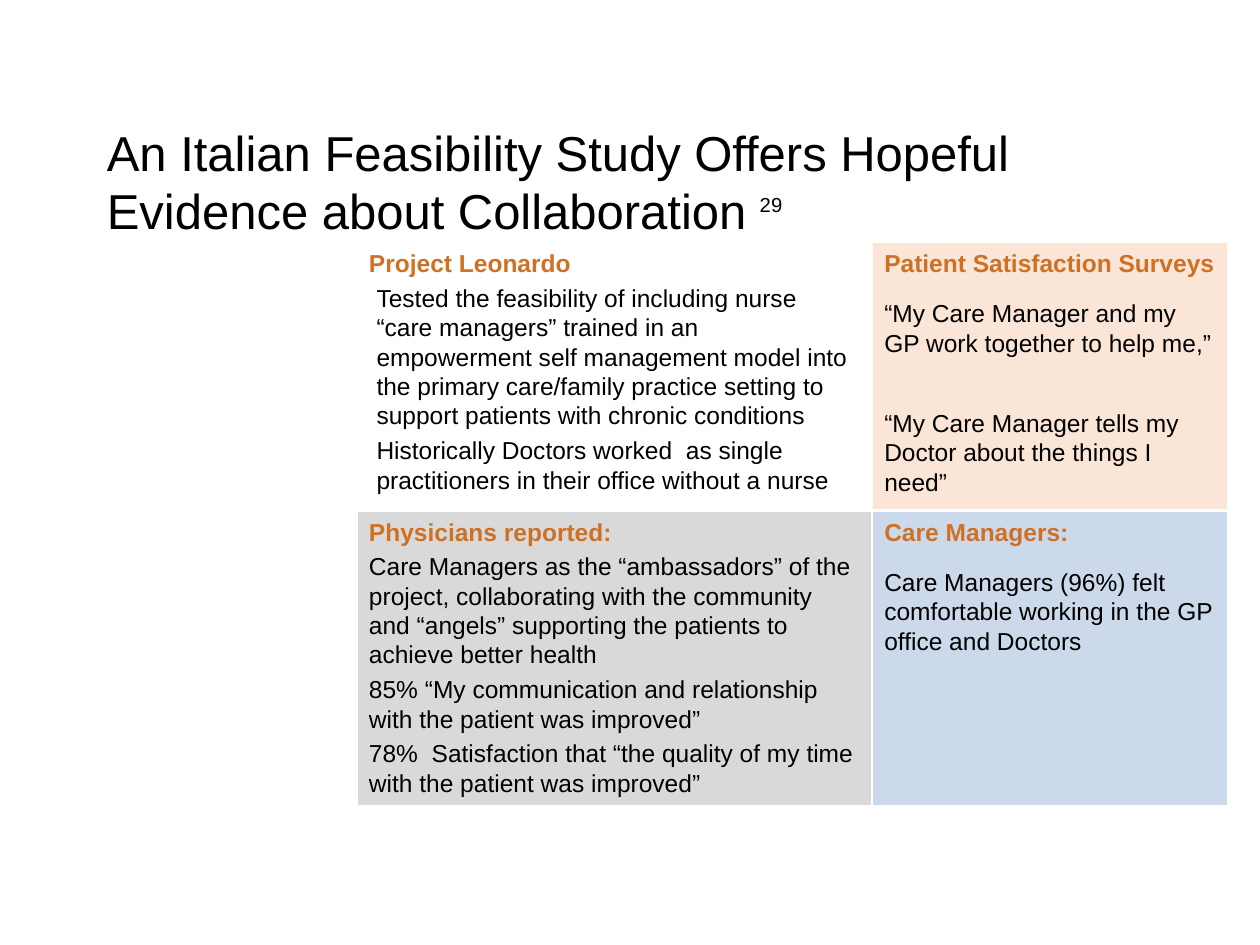
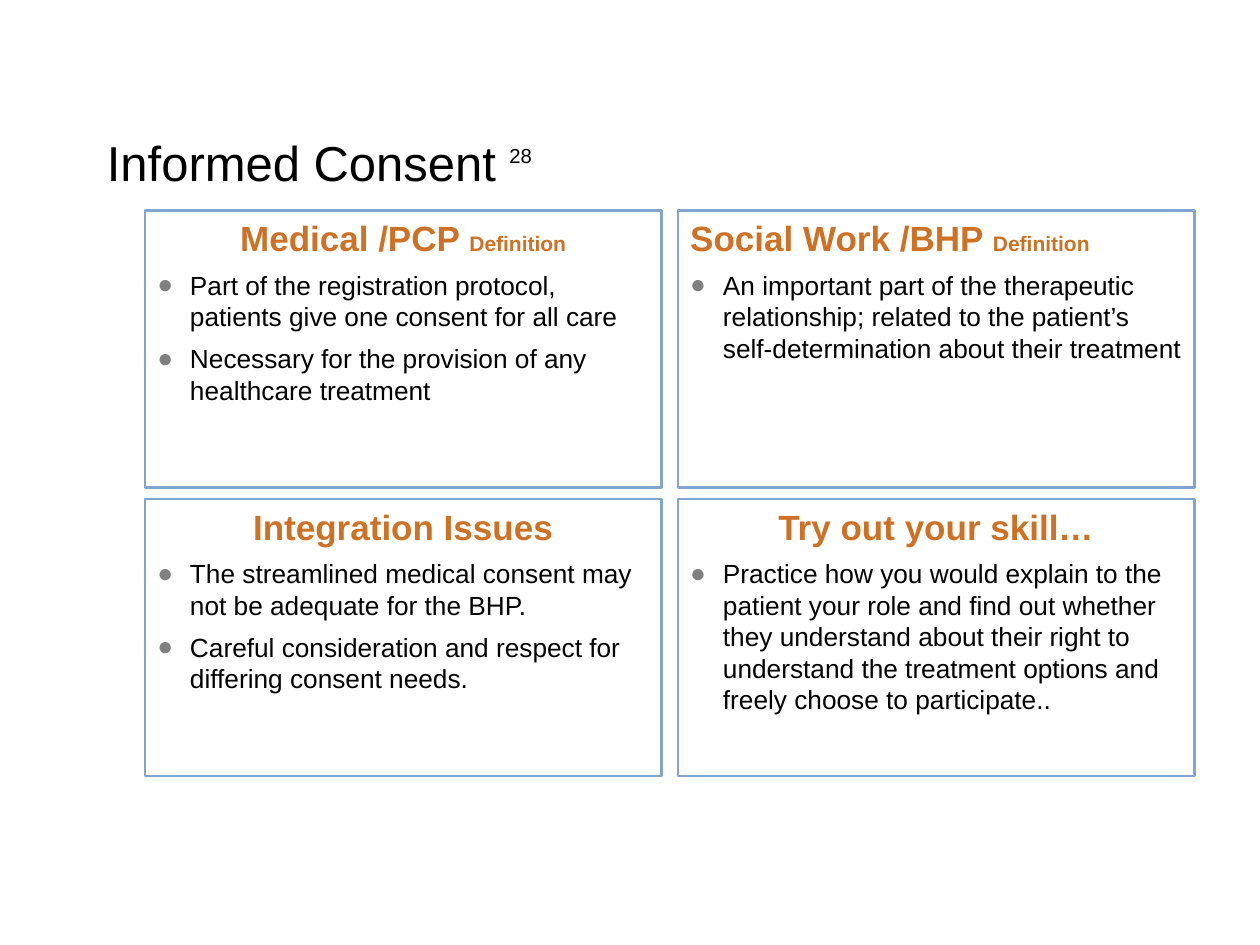
from dataclasses import dataclass

from lxml import etree
from pptx import Presentation
from pptx.dml.color import RGBColor
from pptx.enum.shapes import MSO_SHAPE
from pptx.enum.text import MSO_ANCHOR, PP_ALIGN
from pptx.oxml.ns import qn
from pptx.util import Inches, Pt

RECTANGLE = MSO_SHAPE.RECTANGLE
TOP = MSO_ANCHOR.TOP
LEFT, CENTER = PP_ALIGN.LEFT, PP_ALIGN.CENTER


@dataclass(frozen=True)
class Theme:
    font: str = "Arial"
    ink: str = "000000"
    accent: str = "CE7124"
    white: str = "FFFFFF"
    peach: str = "FAE5D6"
    grey: str = "D9D9D9"
    blue: str = "CBD9EB"
    outline: str = "82A5D0"
    bullet: str = "808080"
    title: int = 28
    note: int = 20
    panel: int = 14
    card_title: int = 20
    card_tag: int = 12
    card: int = 15
    leading: float = 1.2


THEME = Theme()


def set_all(target, values):
    for name, value in values.items():
        setattr(target, name, value)


def add_span(para, text, size, color=THEME.ink, bold=False):
    span = para.add_run()
    span.text = text
    set_all(span.font, {"name": THEME.font, "size": Pt(size), "bold": bold})
    span.font.color.rgb = RGBColor.from_string(color)
    return span


def add_para(frame, size, before=0, align=LEFT):
    first = frame.paragraphs[0]
    para = frame.add_paragraph() if first.runs else first
    set_all(para, {
        "alignment": align,
        "space_before": Pt(before),
        "line_spacing": Pt(size * THEME.leading),
    })
    return para


def indent(para, margin, first_line=0):
    properties = para._p.get_or_add_pPr()
    properties.set("marL", str(Inches(margin)))
    properties.set("indent", str(Inches(first_line)))
    return properties


def add_bullet(para):
    properties = indent(para, 0.26, -0.26)
    color = etree.SubElement(properties, qn("a:buClr"))
    etree.SubElement(color, qn("a:srgbClr"), val=THEME.bullet)
    etree.SubElement(properties, qn("a:buFont"), typeface=THEME.font)
    etree.SubElement(properties, qn("a:buChar"), char="●")


def set_frame(shape):
    set_all(shape.text_frame, {
        "word_wrap": True,
        "vertical_anchor": TOP,
        "margin_left": Inches(0.1),
        "margin_right": Inches(0.1),
        "margin_top": Inches(0.05),
        "margin_bottom": Inches(0.05),
    })
    return shape.text_frame


def add_title(page, top, text, note):
    box = page.shapes.add_textbox(Inches(0.75), Inches(top), Inches(8.75), Inches(0.92))
    para = add_para(set_frame(box), THEME.title)
    add_span(para, text, THEME.title)
    span = add_span(para, note, THEME.note)
    span._r.get_or_add_rPr().set("baseline", "50000")


def add_box(page, box, line, fill=None):
    shape = page.shapes.add_shape(RECTANGLE, *map(Inches, box))
    shape.shadow.inherit = False
    if fill:
        shape.fill.solid()
        shape.fill.fore_color.rgb = RGBColor.from_string(fill)
    else:
        shape.fill.background()
    shape.line.color.rgb = RGBColor.from_string(line)
    shape.line.width = Pt(1.5)
    return set_frame(shape)


def add_panel(page, box, fill, heading, before, texts, margin=0):
    frame = add_box(page, box, THEME.white, fill)
    add_span(add_para(frame, THEME.panel), heading, THEME.panel, THEME.accent, True)
    for text, extra_lines in texts:
        gap = before + extra_lines * THEME.panel * THEME.leading
        para = add_para(frame, THEME.panel, gap)
        indent(para, margin)
        add_span(para, text, THEME.panel)


def add_card(page, box, heading, tag, align, bullets):
    frame = add_box(page, box, THEME.outline)
    para = add_para(frame, THEME.card_title, align=align)
    add_span(para, heading, THEME.card_title, THEME.accent, True)
    if tag:
        add_span(para, tag, THEME.card_tag, THEME.accent, True)
    for text in bullets:
        para = add_para(frame, THEME.card, 6)
        add_bullet(para)
        add_span(para, text, THEME.card)


def grid(left, top, widths, heights, gap_x=0, gap_y=0):
    boxes = []
    y = top
    for height in heights:
        x = left
        for width in widths:
            boxes.append((x, y, width, height))
            x += width + gap_x
        y += height + gap_y
    return boxes


def build_study(page):
    add_title(page, 0.92, "An Italian Feasibility Study Offers Hopeful Evidence about Collaboration ", "29")
    panels = [
        (THEME.white, "Project Leonardo", 3, [
            ("Tested the feasibility of including nurse “care managers” trained in an "
             "empowerment self management model into the primary care/family practice "
             "setting to support patients with chronic conditions", 0),
            ("Historically Doctors worked  as single practitioners in their office "
             "without a nurse", 0),
        ], 0.06),
        (THEME.peach, "Patient Satisfaction Surveys", 12, [
            ("“My Care Manager and my GP work together to help me,”", 0),
            ("“My Care Manager tells my Doctor about the things I need”", 1),
        ]),
        (THEME.grey, "Physicians reported:", 3, [
            ("Care Managers as the “ambassadors” of the project, collaborating with "
             "the community and “angels” supporting the patients to achieve better health", 0),
            ("85% “My communication and relationship with the patient was improved”", 0),
            ("78%  Satisfaction that “the quality of my time with the patient was improved”", 0),
        ]),
        (THEME.blue, "Care Managers:", 12, [
            ("Care Managers (96%) felt comfortable working in the GP office and Doctors", 0),
        ]),
    ]
    for box, panel in zip(grid(2.83, 1.92, (4.09, 2.83), (2.13, 2.35)), panels):
        add_panel(page, box, *panel)


def build_consent(page):
    add_title(page, 1, "Informed Consent ", "28")
    cards = [
        ("Medical /PCP ", "Definition", CENTER, [
            "Part of the registration protocol, patients give one consent for all care",
            "Necessary for the provision of any healthcare treatment",
        ]),
        ("Social Work /BHP ", "Definition", LEFT, [
            "An important part of the therapeutic relationship; related to the patient’s "
            "self-determination about their treatment",
        ]),
        ("Integration Issues", "", CENTER, [
            "The streamlined medical consent may not be adequate for the BHP.",
            "Careful consideration and respect for differing consent needs.",
        ]),
        ("Try out your skill…", "", CENTER, [
            "Practice how you would explain to the patient your role and find out whether "
            "they understand about their right to understand the treatment options and "
            "freely choose to participate..",
        ]),
    ]
    for box, card in zip(grid(1.15, 1.67, (4.1, 4.1), (2.2, 2.2), 0.13, 0.09), cards):
        add_card(page, box, *card)


def main():
    deck = Presentation()
    set_all(deck, {"slide_width": Inches(10), "slide_height": Inches(7.5)})
    blank = deck.slide_layouts[6]
    for build in (build_study, build_consent):
        build(deck.slides.add_slide(blank))
    deck.save("out.pptx")


if __name__ == "__main__":
    main()
